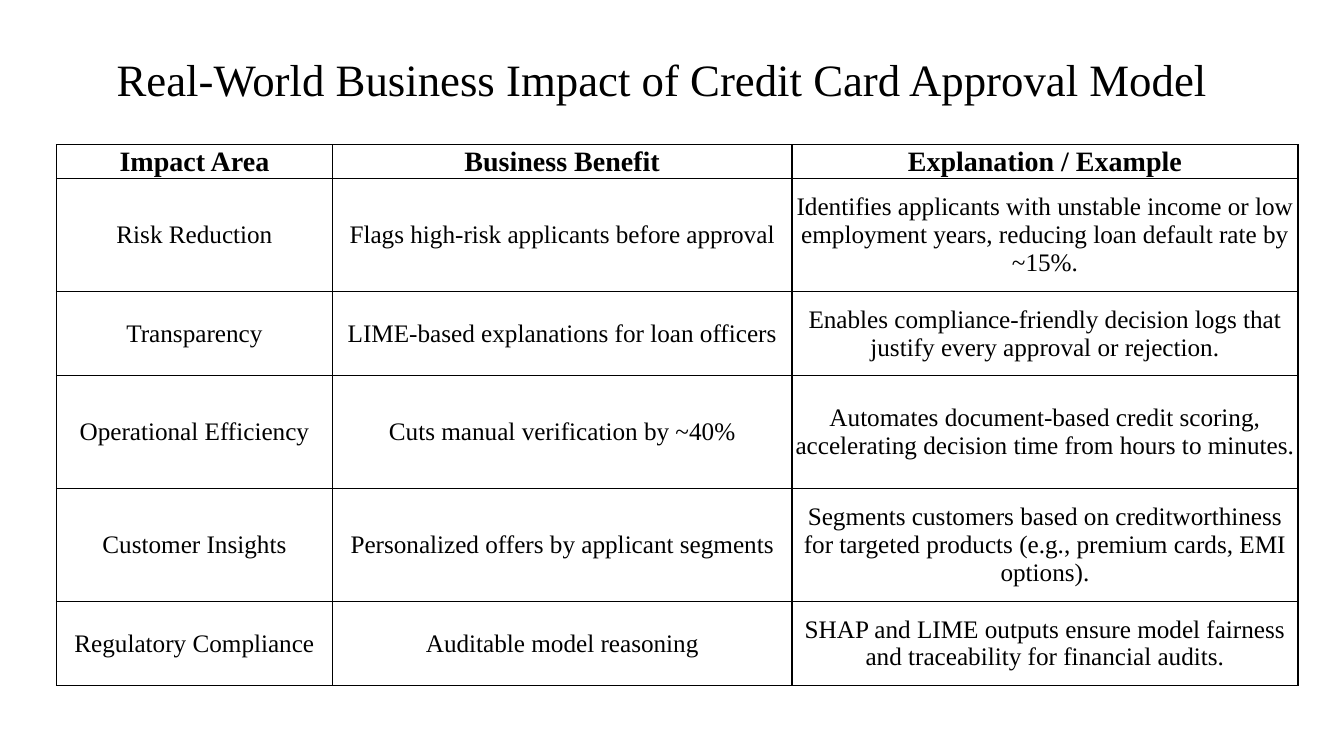
from typing import NamedTuple

from lxml.etree import SubElement
from pptx import Presentation
from pptx.dml.color import RGBColor
from pptx.enum.text import MSO_ANCHOR, MSO_AUTO_SIZE, PP_ALIGN
from pptx.oxml.ns import qn
from pptx.slide import Slide
from pptx.table import _Cell
from pptx.text.text import _Paragraph
from pptx.util import Cm, Pt

BLACK = RGBColor(0x00, 0x00, 0x00)
FONT_NAME = "Times New Roman"
TITLE = "Real-World Business Impact of Credit Card Approval Model"

CELL_FORMAT = {
    "margin_left": 0,
    "margin_right": 0,
    "margin_top": 0,
    "margin_bottom": 0,
    "vertical_anchor": MSO_ANCHOR.MIDDLE,
}
TITLE_FORMAT = {"name": FONT_NAME, "size": Pt(32), "bold": False}
HEADER_FORMAT = {"name": FONT_NAME, "size": Pt(20), "bold": True}
BODY_FORMAT = {"name": FONT_NAME, "size": Pt(18), "bold": False}


class ImpactRow(NamedTuple):
    area: str
    benefit: str
    explanation: str


HEADER_HEIGHT = Cm(0.85)
LINE_UNIT = Cm(0.71)  # body rows are three or four units high
ROW_UNITS = [4, 3, 4, 4, 3]
COLUMN_WIDTHS = [Cm(6.96), Cm(11.58), Cm(12.75)]

ROWS = [
    ImpactRow("Impact Area", "Business Benefit", "Explanation / Example"),
    ImpactRow(
        "Risk Reduction",
        "Flags high-risk applicants before approval",
        "Identifies applicants with unstable income or low employment years, "
        "reducing loan default rate by ~15%.",
    ),
    ImpactRow(
        "Transparency",
        "LIME-based explanations for loan officers",
        "Enables compliance-friendly decision logs that justify every approval or rejection.",
    ),
    ImpactRow(
        "Operational Efficiency",
        "Cuts manual verification by ~40%",
        "Automates document-based credit scoring, accelerating decision time "
        "from hours to minutes.",
    ),
    ImpactRow(
        "Customer Insights",
        "Personalized offers by applicant segments",
        "Segments customers based on creditworthiness for targeted products "
        "(e.g., premium cards, EMI options).",
    ),
    ImpactRow(
        "Regulatory Compliance",
        "Auditable model reasoning",
        "SHAP and LIME outputs ensure model fairness and traceability for financial audits.",
    ),
]


def apply_format(target: object, values: dict) -> None:
    for name, value in values.items():
        setattr(target, name, value)


def write_text(para: _Paragraph, text: str, font_format: dict) -> None:
    span = para.add_run()
    span.text = text
    apply_format(span.font, font_format)
    span.font.color.rgb = BLACK


def draw_borders(cell: _Cell) -> None:
    properties = cell._tc.get_or_add_tcPr()
    for side in ("a:lnL", "a:lnR", "a:lnT", "a:lnB"):
        line = SubElement(properties, qn(side), w=str(Pt(1)))
        fill = SubElement(line, qn("a:solidFill"))
        SubElement(fill, qn("a:srgbClr"), val=str(BLACK))


def fill_cell(cell: _Cell, text: str, font_format: dict) -> None:
    apply_format(cell, CELL_FORMAT)
    draw_borders(cell)
    cell.fill.background()
    para = cell.text_frame.paragraphs[0]
    para.alignment = PP_ALIGN.CENTER
    write_text(para, text, font_format)


def add_title(page: Slide) -> None:
    box = page.shapes.add_textbox(Cm(2.69), Cm(1.17), Cm(28.9), Cm(1.62))
    apply_format(
        box.text_frame, {"word_wrap": True, "auto_size": MSO_AUTO_SIZE.SHAPE_TO_FIT_TEXT}
    )
    write_text(box.text_frame.paragraphs[0], TITLE, TITLE_FORMAT)


def add_impact_table(page: Slide) -> None:
    heights = [HEADER_HEIGHT] + [LINE_UNIT * units for units in ROW_UNITS]
    table = page.shapes.add_table(
        len(ROWS), len(COLUMN_WIDTHS), Cm(1.42), Cm(3.65), sum(COLUMN_WIDTHS), sum(heights)
    ).table
    apply_format(table, {"first_row": False, "horz_banding": False})
    for column, width in zip(table.columns, COLUMN_WIDTHS):
        column.width = width
    for index, (row, height, texts) in enumerate(zip(table.rows, heights, ROWS)):
        row.height = height
        font_format = BODY_FORMAT if index else HEADER_FORMAT
        for cell, text in zip(row.cells, texts):
            fill_cell(cell, text, font_format)


def main() -> None:
    deck = Presentation()
    apply_format(deck, {"slide_width": Cm(33.87), "slide_height": Cm(19.05)})
    page = deck.slides.add_slide(deck.slide_layouts[6])
    # Table of impact areas, then the heading above it
    add_impact_table(page)
    add_title(page)
    deck.save("out.pptx")


if __name__ == "__main__":
    main()
